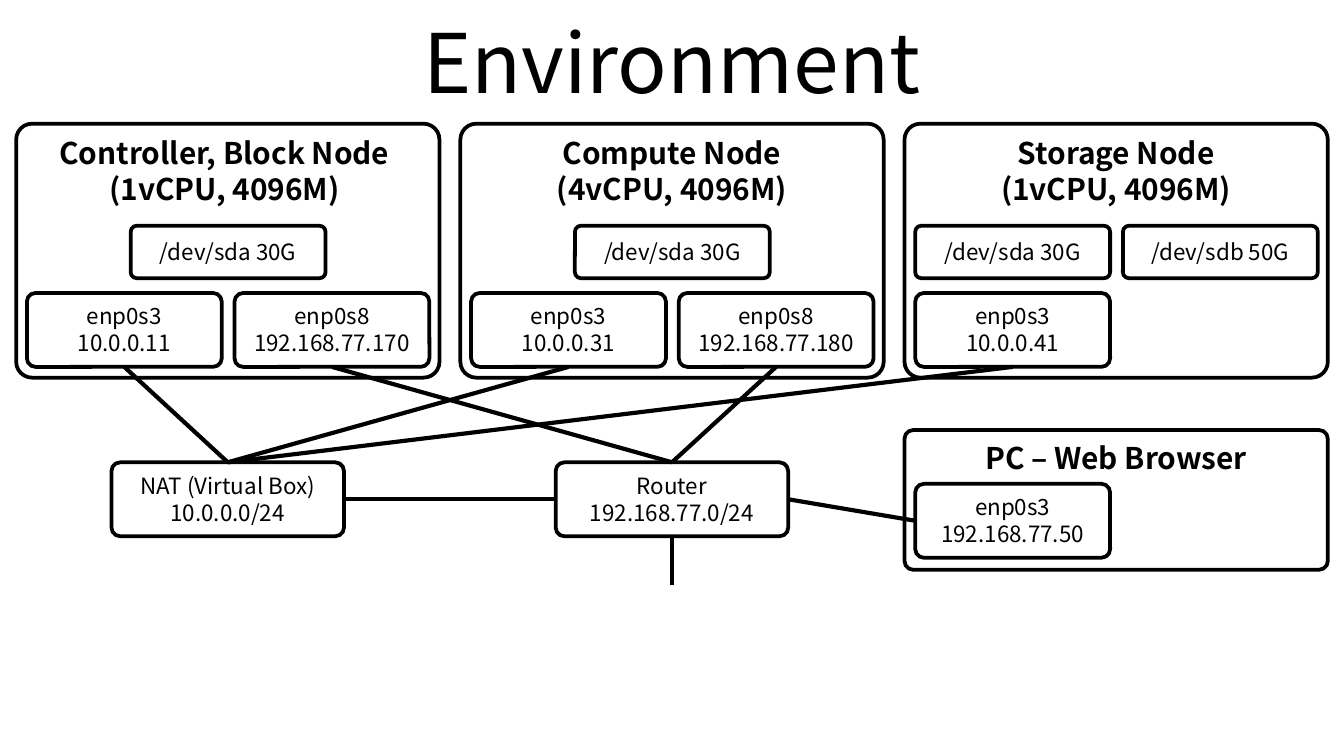
"""Build a network environment slide: three nodes, a PC, and the networks that join them."""
from lxml.etree import SubElement
from pptx import Presentation
from pptx.dml.color import RGBColor
from pptx.enum.shapes import MSO_CONNECTOR as Link, MSO_SHAPE as Kind
from pptx.enum.text import MSO_ANCHOR as Anchor, PP_ALIGN as Align
from pptx.oxml.ns import qn
from pptx.util import Inches, Pt

BLACK = RGBColor(0, 0, 0)
FONT = "Noto Sans CJK KR"
WIDE = 10
HIGH = WIDE * 9 / 16
LEFT, STEP, SPAN = 0.12, 3.305, 3.15
PAD, SLOT, CELL = 0.08, 1.545, 1.45
NODE_TOP, DISK_TOP, PORT_TOP, NET_TOP = 0.92, 1.68, 2.18, 3.44
DISK_H, PORT_H, NET_W = 0.39, 0.55, 1.73

NODES = [
    {"title": "Controller, Block Node \n(1vCPU, 4096M) ",
     "disks": [(0.5, "/dev/sda 30G")],
     "ports": ["enp0s3\n10.0.0.11", "enp0s8\n192.168.77.170"]},
    {"title": "Compute Node\n(4vCPU, 4096M)",
     "disks": [(0.5, "/dev/sda 30G")],
     "ports": ["enp0s3\n10.0.0.31", "enp0s8\n192.168.77.180"]},
    {"title": "Storage Node\n(1vCPU, 4096M)",
     "disks": [(0, "/dev/sda 30G"), (1, "/dev/sdb 50G")],
     "ports": ["enp0s3\n10.0.0.41"]},
]
NETS = ["NAT (Virtual Box)\n10.0.0.0/24", "Router\n192.168.77.0/24"]
PC = ("PC – Web Browser", "enp0s3\n192.168.77.50")

HEAD = {"size": Pt(16), "bold": True}
BODY = {"size": Pt(12), "bold": False}


def write(frame, text, form, anchor):
    frame.text = text
    frame.word_wrap = True
    frame.vertical_anchor = anchor
    for para in frame.paragraphs:
        para.alignment = Align.CENTER
        para.font.color.rgb = BLACK
        for key, val in {"name": FONT, **form}.items():
            setattr(para.font, key, val)


def box(x, y, w, h, text, form=BODY, anchor=Anchor.TOP):
    shape = slide.shapes.add_shape(Kind.ROUNDED_RECTANGLE, *map(Inches, (x, y, w, h)))
    shape.adjustments[0] = 0.063 if form is HEAD else 0.116
    shape.shadow.inherit = False
    shape.fill.background()
    shape.line.color.rgb = BLACK
    shape.line.width = Pt(2)
    frame = shape.text_frame
    write(frame, text, form, anchor)
    frame.margin_left = frame.margin_right = Inches(0.05)
    return shape


def join(start, out, end=None, into=0, to=(0, 0)):
    line = slide.shapes.add_connector(Link.STRAIGHT, 0, 0, *map(Inches, to))
    line.begin_connect(start, out)
    if end is not None:
        line.end_connect(end, into)
    line.line.color.rgb = BLACK
    line.line.width = Pt(2.25)
    SubElement(line._element.spPr, qn("a:effectLst"))


def col(i):
    return LEFT + i * STEP


def slot(i, j):
    return col(i) + PAD + j * SLOT


deck = Presentation()
deck.slide_width, deck.slide_height = Inches(WIDE), Inches(HIGH)
slide = deck.slides.add_slide(deck.slide_layouts[5])
title = slide.shapes.title
place = {"left": 0.05 * WIDE, "top": -0.02, "width": 0.9 * WIDE, "height": 0.94}
for key, val in place.items():
    setattr(title, key, Inches(val))
write(title.text_frame, "Environment", {"size": Pt(44)}, Anchor.MIDDLE)

nets = [box(col(i) + (SPAN - NET_W) / 2, NET_TOP, NET_W, PORT_H, text, anchor=Anchor.MIDDLE)
        for i, text in enumerate(NETS)]
for i, node in enumerate(NODES):
    box(col(i), NODE_TOP, SPAN, 1.89, node["title"], HEAD)
    for j, text in node["disks"]:
        box(slot(i, j), DISK_TOP, CELL, DISK_H, text, anchor=Anchor.MIDDLE)
    for j, text in enumerate(node["ports"]):
        port = box(slot(i, j), PORT_TOP, CELL, PORT_H, text)
        join(port, 2, nets[j], 0)

nat, router = nets
box(col(2), 3.2, SPAN, 1.04, PC[0], HEAD)
port = box(slot(2, 0), 3.6, CELL, PORT_H, PC[1])
join(router, 1, nat, 3)
join(router, 3, port, 1)
join(router, 2, to=(WIDE / 2, 4.35))

deck.save("out.pptx")
